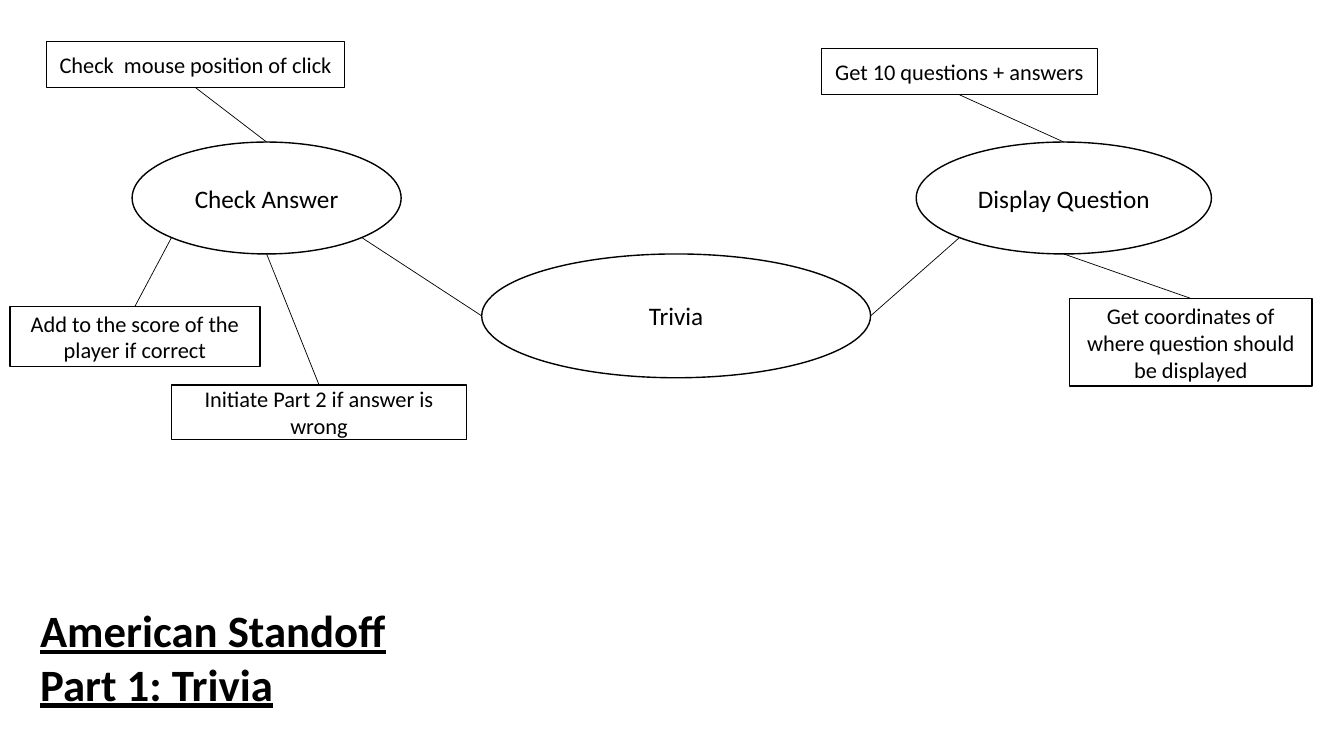
from dataclasses import dataclass
from enum import Enum
from math import sqrt

from lxml.etree import SubElement
from pptx import Presentation
from pptx.dml.color import RGBColor
from pptx.enum.shapes import MSO_CONNECTOR, MSO_SHAPE
from pptx.enum.text import MSO_ANCHOR, PP_ALIGN
from pptx.oxml.ns import qn
from pptx.slide import Slide
from pptx.text.text import TextFrame
from pptx.util import Cm, Pt

BLACK = RGBColor(0x00, 0x00, 0x00)
WHITE = RGBColor(0xFF, 0xFF, 0xFF)
DIAGONAL = 0.5 / sqrt(2)


class Side(Enum):
    """Point on a node's outline, as a fraction of its size from the centre."""
    TOP = (0, -0.5)
    BOTTOM = (0, 0.5)
    LEFT = (-0.5, 0)
    RIGHT = (0.5, 0)
    LOWER_LEFT = (-DIAGONAL, DIAGONAL)
    LOWER_RIGHT = (DIAGONAL, DIAGONAL)


@dataclass(frozen=True)
class Node:
    text: str
    left: float
    top: float
    width: float
    height: float
    outline: MSO_SHAPE = MSO_SHAPE.RECTANGLE
    font_size: int = 16

    def point(self, side: Side) -> tuple[Cm, Cm]:
        across, down = side.value
        return (Cm(self.left + self.width * (0.5 + across)),
                Cm(self.top + self.height * (0.5 + down)))


@dataclass(frozen=True)
class Link:
    start: Node
    start_side: Side
    end: Node
    end_side: Side


def topic(text: str, left: float, top: float, width: float, height: float) -> Node:
    return Node(text, left, top, width, height, MSO_SHAPE.OVAL, 18)


TRIVIA = topic("Trivia", 12.14, 6.4, 9.8, 3.12)
CHECK_ANSWER = topic("Check Answer", 3.33, 3.58, 6.78, 2.82)
DISPLAY_QUESTION = topic("Display Question", 23.09, 3.58, 7.44, 2.82)
GET_QUESTIONS = Node("Get 10 questions + answers", 20.7, 1.22, 6.96, 1.17)
GET_COORDINATES = Node("Get coordinates of where question should be displayed",
                       26.95, 7.52, 6.12, 2.21)
CHECK_MOUSE = Node("Check  mouse position of click", 1.17, 1.04, 7.52, 1.17)
ADD_SCORE = Node("Add to the score of the player if correct", 0.25, 7.72, 6.3, 1.52)
INITIATE_PART_2 = Node("Initiate Part 2 if answer is wrong", 4.32, 9.7, 7.44, 1.37)

NODES = [TRIVIA, CHECK_ANSWER, DISPLAY_QUESTION, GET_QUESTIONS, GET_COORDINATES,
         CHECK_MOUSE, ADD_SCORE, INITIATE_PART_2]

LINKS = [
    Link(CHECK_ANSWER, Side.LOWER_RIGHT, TRIVIA, Side.LEFT),
    Link(TRIVIA, Side.RIGHT, DISPLAY_QUESTION, Side.LOWER_LEFT),
    Link(DISPLAY_QUESTION, Side.TOP, GET_QUESTIONS, Side.BOTTOM),
    Link(GET_COORDINATES, Side.TOP, DISPLAY_QUESTION, Side.BOTTOM),
    Link(CHECK_ANSWER, Side.TOP, CHECK_MOUSE, Side.BOTTOM),
    Link(CHECK_ANSWER, Side.LOWER_LEFT, ADD_SCORE, Side.TOP),
    Link(CHECK_ANSWER, Side.BOTTOM, INITIATE_PART_2, Side.TOP),
]


def write(frame: TextFrame, text: str, size: int, align: PP_ALIGN,
          heading: bool = False) -> None:
    frame.word_wrap = True
    paragraph = frame.paragraphs[0]
    paragraph.text = text
    paragraph.alignment = align
    font = paragraph.runs[0].font
    font.name = "Calibri"
    font.size = Pt(size)
    font.color.rgb = BLACK
    font.bold = font.underline = heading


def draw_node(slide: Slide, node: Node) -> None:
    shape = slide.shapes.add_shape(node.outline, Cm(node.left), Cm(node.top),
                                   Cm(node.width), Cm(node.height))
    shape.shadow.inherit = False
    shape.fill.solid()
    shape.fill.fore_color.rgb = WHITE
    shape.line.color.rgb = BLACK
    shape.line.width = Pt(1)
    shape.text_frame.vertical_anchor = MSO_ANCHOR.MIDDLE
    write(shape.text_frame, node.text, node.font_size, PP_ALIGN.CENTER)


def draw_link(slide: Slide, link: Link) -> None:
    connector = slide.shapes.add_connector(
        MSO_CONNECTOR.STRAIGHT,
        *link.start.point(link.start_side), *link.end.point(link.end_side))
    connector.line.color.rgb = BLACK
    connector.line.width = Pt(0.5)
    SubElement(connector._element.spPr, qn("a:effectLst"))


def main() -> None:
    presentation = Presentation()
    presentation.slide_width = Cm(33.87)
    presentation.slide_height = Cm(19.05)
    slide = presentation.slides.add_slide(presentation.slide_layouts[6])
    for node in NODES:
        draw_node(slide, node)
    for link in LINKS:
        draw_link(slide, link)
    title = slide.shapes.add_textbox(Cm(0.76), Cm(15.06), Cm(9.35), Cm(3))
    write(title.text_frame, "American Standoff Part 1: Trivia", 32,
          PP_ALIGN.LEFT, heading=True)
    presentation.save("out.pptx")


if __name__ == "__main__":
    main()
